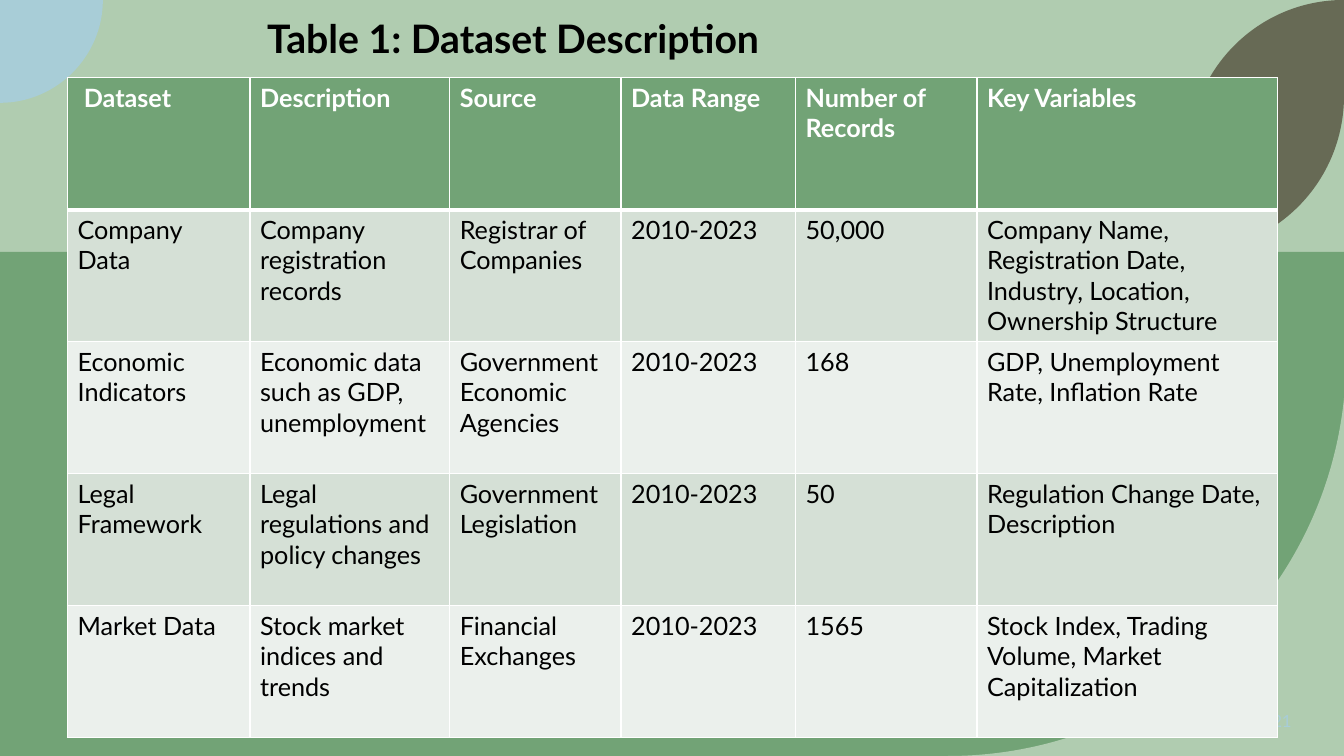
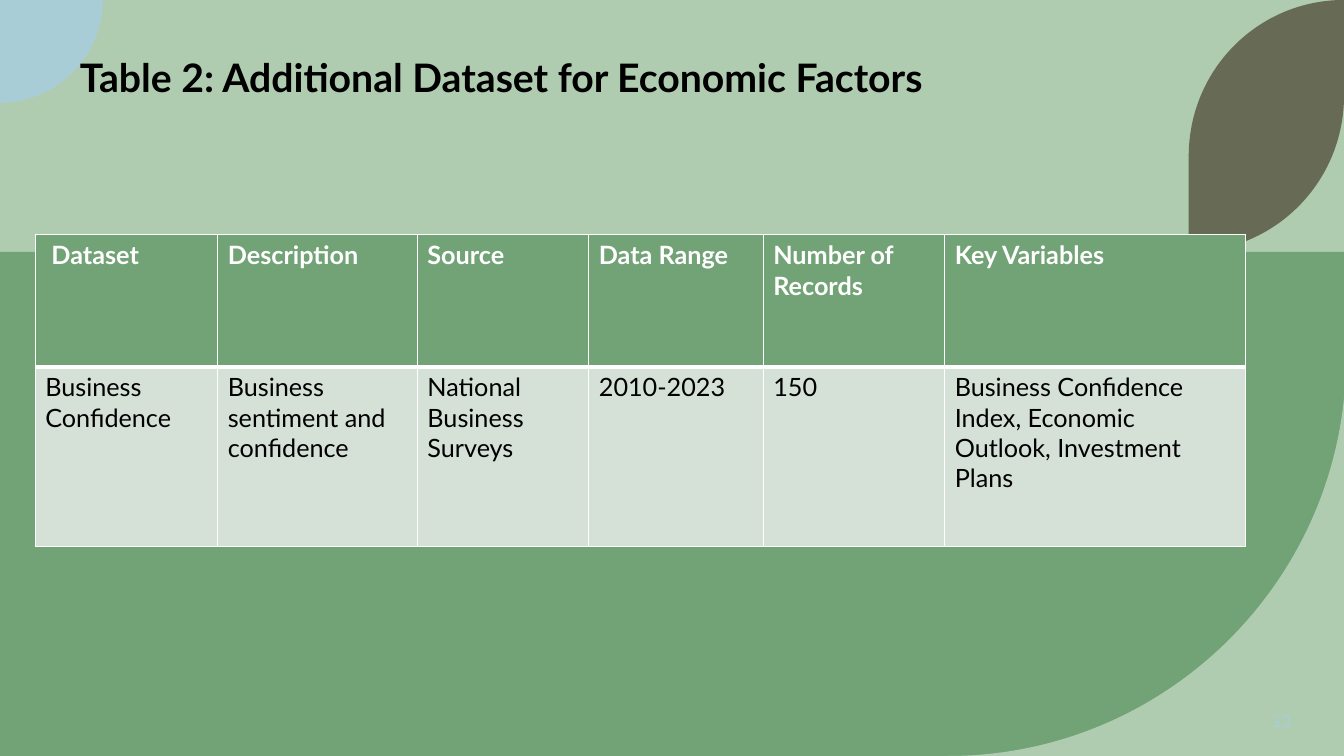
from lxml import etree
from pptx import Presentation
from pptx.dml.color import RGBColor
from pptx.enum.shapes import MSO_SHAPE
from pptx.enum.text import MSO_ANCHOR, PP_ALIGN
from pptx.oxml.ns import qn
from pptx.util import Inches, Pt

RECTANGLE = MSO_SHAPE.RECTANGLE
MIDDLE = MSO_ANCHOR.MIDDLE
LEFT, CENTER, RIGHT = PP_ALIGN.LEFT, PP_ALIGN.CENTER, PP_ALIGN.RIGHT

WIDTH, HEIGHT = 13.33, 7.5
GROUND_RIGHT = 13.35
FIRST_NUMBER = 21
FONT = "Lato"
COLORS = {
    "pale": "B0CCB0",
    "green": "72A376",
    "blue": "A8CDD7",
    "olive": "676A55",
    "band_dark": "D5E0D6",
    "band_light": "EBF0EC",
    "white": "FFFFFF",
    "black": "000000",
}

# An outline is a list of steps: one point is a line, three points are a curve.
CORNER = [[(13.35, 3.55)], [(13.35, 5.73), (11.58, 7.5), (9.4, 7.5)], [(13.35, 7.5)]]
DROP = [[(0, 0)], [(1.02, 0)], [(1.02, 0.56), (0.56, 1.02), (0, 1.02)]]
LEAF = [[(13.33, 0)], [(13.33, 0.95)], [(13.33, 1.81), (12.64, 2.5), (11.79, 2.5)],
        [(11.79, 1.55)], [(11.79, 0.69), (12.48, 0), (13.33, 0)]]

HEADER = [" Dataset", "Description", "Source", "Data Range",
          "Number of Records", "Key Variables"]
COLUMN_WIDTHS = [1.81, 1.98, 1.7, 1.73, 1.8, 2.98]
DATASETS = [
    ["Company Data", "Company registration records", "Registrar of Companies",
     "2010-2023", "50,000",
     "Company Name, Registration Date, Industry, Location, Ownership Structure"],
    ["Economic Indicators", "Economic data such as GDP, unemployment",
     "Government Economic Agencies", "2010-2023", "168",
     "GDP, Unemployment Rate, Inflation Rate"],
    ["Legal Framework", "Legal regulations and policy changes",
     "Government Legislation", "2010-2023", "50",
     "Regulation Change Date, Description"],
    ["Market Data", "Stock market indices and trends", "Financial Exchanges",
     "2010-2023", "1565", "Stock Index, Trading Volume, Market Capitalization"],
]
ECONOMIC_FACTORS = [
    ["Business Confidence", "Business sentiment and confidence",
     "National Business Surveys", "2010-2023", "150",
     "Business Confidence Index, Economic Outlook, Investment Plans"],
]


def color(name):
    return RGBColor.from_string(COLORS[name])


class Report:
    """Holds the deck, its style and the current page."""

    def __init__(self):
        self.deck = Presentation()
        self.deck.slide_width = Inches(WIDTH)
        self.deck.slide_height = Inches(HEIGHT)
        self.deck.element.set("firstSlideNum", str(FIRST_NUMBER))
        self.page = None

    def add_page(self):
        """Start a page with the shared background, leaves and number."""
        self.page = self.deck.slides.add_slide(self.deck.slide_layouts[6])
        background = self.page.background.fill
        background.solid()
        background.fore_color.rgb = color("pale")
        ground = self.page.shapes.add_shape(
            RECTANGLE, 0, Inches(2.5), Inches(GROUND_RIGHT), Inches(5))
        self.paint(ground, "green")
        self.outline(CORNER, "pale")
        self.outline(DROP, "blue")
        self.outline(LEAF, "olive")
        self.page_number()

    def paint(self, shape, fill):
        shape.shadow.inherit = False
        shape.fill.solid()
        shape.fill.fore_color.rgb = color(fill)
        shape.line.fill.background()

    def outline(self, steps, fill):
        """Build a freeform from line steps, then bend the curved ones."""
        steps = [[(Inches(x), Inches(y)) for x, y in step] for step in steps]
        ends = [step[-1] for step in steps]
        builder = self.page.shapes.build_freeform(*ends[0])
        builder.add_line_segments(ends[1:], close=True)
        shape = builder.convert_to_shape()
        lines = list(shape._element.iter(qn("a:lnTo")))
        for line, step in zip(lines, steps[1:]):
            if len(step) == 3:
                line.tag = qn("a:cubicBezTo")
                for position, (x, y) in enumerate(step[:2]):
                    point = etree.Element(qn("a:pt"), x=str(x - shape.left),
                                          y=str(y - shape.top))
                    line.insert(position, point)
        self.paint(shape, fill)

    def style(self, font, size, ink, bold=False):
        font.name = FONT
        font.size = Pt(size)
        font.bold = bold
        font.color.rgb = color(ink)

    def text_box(self, left, top, width, height):
        return self.page.shapes.add_textbox(
            Inches(left), Inches(top), Inches(width), Inches(height))

    def page_number(self):
        """Add a live slide number field."""
        frame = self.text_box(11.16, 6.95, 1.75, 0.4).text_frame
        frame.word_wrap = True
        frame.vertical_anchor = MIDDLE
        para = frame.paragraphs[0]
        para.alignment = RIGHT
        span = para.add_run()
        span.text = str(FIRST_NUMBER + len(self.deck.slides) - 1)
        self.style(span.font, 12, "blue")
        field = etree.Element(qn("a:fld"), type="slidenum",
                              id="{B6F15528-21DE-4FAA-801E-634DDDAF4B2B}")
        run = span._r
        run.addprevious(field)
        field.extend(list(run))
        run.getparent().remove(run)

    def title(self, text, left, top, width, height, align, inset=0.1):
        frame = self.text_box(left, top, width, height).text_frame
        frame.word_wrap = True
        frame.margin_left = Inches(inset)
        frame.text = text
        para = frame.paragraphs[0]
        para.alignment = align
        self.style(para.runs[0].font, 28, "black", bold=True)

    def borders(self, cell, top, bottom):
        """Draw white cell borders; top and bottom are widths in points."""
        properties = cell._tc.get_or_add_tcPr()
        sides = {"lnL": 1, "lnR": 1, "lnT": top, "lnB": bottom}
        for position, (side, width) in enumerate(sides.items()):
            line = etree.Element(qn(f"a:{side}"), w=str(Pt(width)))
            fill = etree.SubElement(line, qn("a:solidFill"))
            etree.SubElement(fill, qn("a:srgbClr"), val=COLORS["white"])
            properties.insert(position, line)

    def table(self, left, top, records, row_heights):
        rows = [HEADER] + records
        table = self.page.shapes.add_table(
            len(rows), len(HEADER), Inches(left), Inches(top),
            Inches(sum(COLUMN_WIDTHS)), Inches(sum(row_heights))).table
        table.horz_banding = False
        for column, width in zip(table.columns, COLUMN_WIDTHS):
            column.width = Inches(width)
        for row, height in zip(table.rows, row_heights):
            row.height = Inches(height)
        for r, values in enumerate(rows):
            is_header = r == 0
            band = "band_dark" if r % 2 else "band_light"
            for c, value in enumerate(values):
                cell = table.cell(r, c)
                cell.text_frame.text = value
                self.style(cell.text_frame.paragraphs[0].runs[0].font, 18,
                           "white" if is_header else "black", is_header)
                cell.fill.solid()
                cell.fill.fore_color.rgb = color("green" if is_header else band)
                self.borders(cell, top=3 if r == 1 else 1,
                             bottom=3 if is_header else 1)


def main():
    report = Report()

    report.add_page()
    report.title("Table 1: Dataset Description", 0.67, 0.09, 7.64, 0.57,
                 LEFT, inset=1.98)
    report.table(0.67, 0.77, DATASETS, [1.31] * 5)

    report.add_page()
    report.title("Table 2: Additional Dataset for Economic Factors",
                 0.16, 0.48, 9.62, 1.04, CENTER)
    report.table(0.35, 2.33, ECONOMIC_FACTORS, [1.31, 1.78])

    report.deck.save("out.pptx")


if __name__ == "__main__":
    main()
